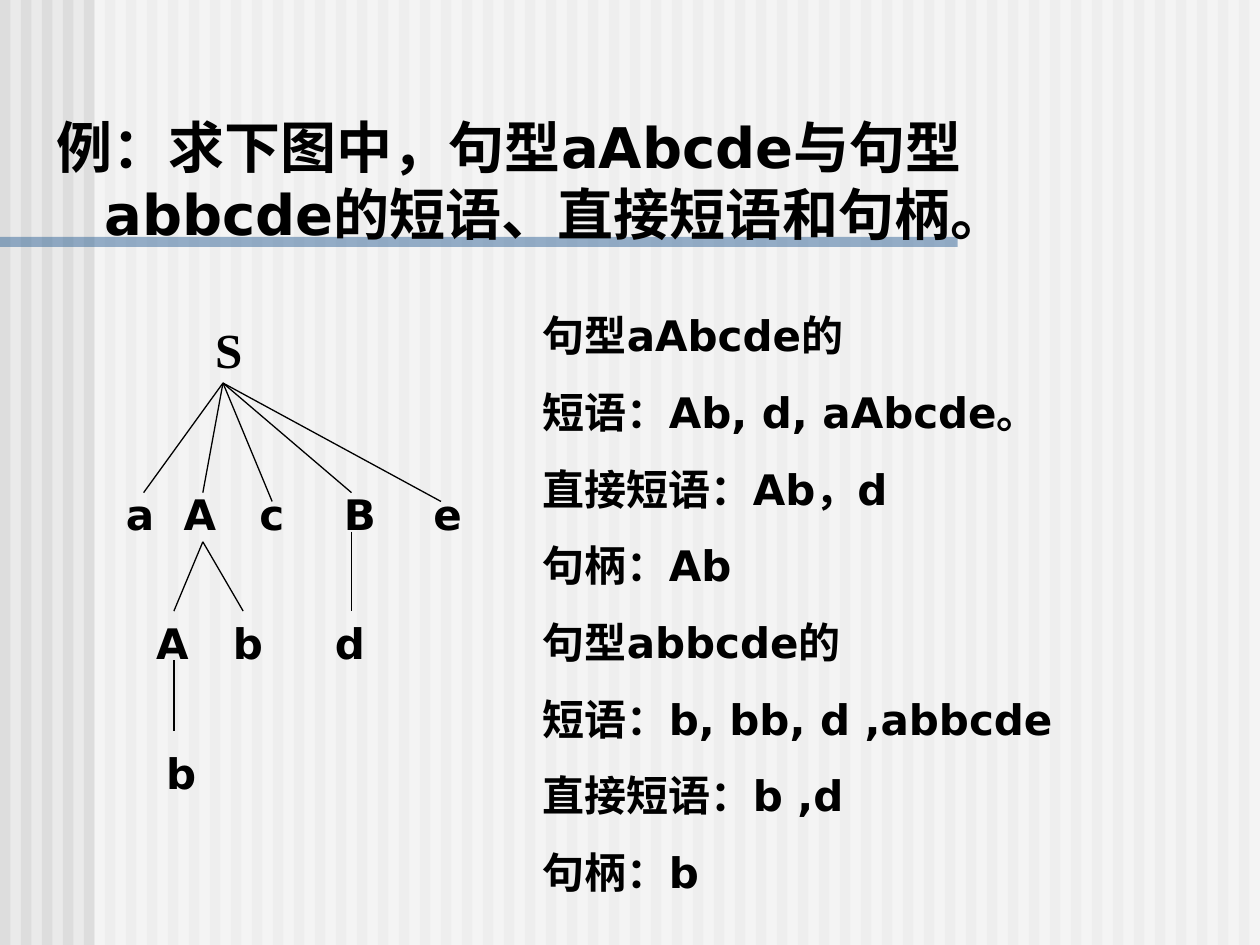
import pptx
import pptx.dml.color
import pptx.enum.shapes
import pptx.enum.text
import pptx.oxml.ns
import pptx.util
from lxml import etree

Inches, Pt = pptx.util.Inches, pptx.util.Pt
RGBColor = pptx.dml.color.RGBColor
qn = pptx.oxml.ns.qn

BLACK = RGBColor(0x00, 0x00, 0x00)
WHITE = RGBColor(0xFF, 0xFF, 0xFF)
PAPER = RGBColor(0xEA, 0xEA, 0xEA)
STRIPE = RGBColor(0xDD, 0xDD, 0xDD)
BLUE = RGBColor(0x33, 0x66, 0x99)
SANS, SERIF = "DejaVu Sans", "Times New Roman"

WIDTH, HEIGHT = 10, 7.5
STRIPES_PER_INCH = 6

TITLE = "例：求下图中，句型aAbcde与句型abbcde的短语、直接短语和句柄。"
ANSWERS = [
    "句型aAbcde的",
    "短语：Ab, d, aAbcde。",
    "直接短语：Ab，d",
    "句柄：Ab",
    "句型abbcde的",
    "短语：b, bb, d ,abbcde",
    "直接短语：b ,d",
    "句柄：b",
]

# Tree levels: text, (left, top, width, height), size, font, tab stops
TREE_LABELS = [
    ("S", (1.61, 2.49, 0.87, 0.57), 28, SERIF, ()),
    ("a\tA\tc\tB\te", (0.9, 3.83, 2.91, 0.5), 24, SANS, (0.46, 1.06, 1.73, 2.44)),
    ("A\tb", (1.14, 4.85, 1.1, 0.5), 24, SANS, (0.61,)),
    ("d", (2.56, 4.85, 0.87, 0.5), 24, SANS, ()),
    ("b", (1.22, 5.88, 0.71, 0.5), 24, SANS, ()),
]
# Parent point -> child points
BRANCHES = [
    ((1.77, 3.04), [(1.14, 3.91), (1.61, 3.91), (2.16, 3.98), (2.79, 3.91), (3.5, 3.98)]),
    ((1.61, 4.3), [(1.38, 4.85), (1.93, 4.85)]),
    ((2.79, 4.22), [(2.79, 4.85)]),
    ((1.38, 5.24), [(1.38, 5.8)]),
]


def add_bar(s, left, top, width, height, color, opacity=100):
    sp = s.shapes.add_shape(pptx.enum.shapes.MSO_SHAPE.RECTANGLE,
                            *map(Inches, (left, top, width, height)))
    sp.shadow.inherit = False
    sp.line.fill.background()
    sp.fill.solid()
    sp.fill.fore_color.rgb = color
    if opacity < 100:
        clr = sp.fill._xPr.find(".//" + qn("a:srgbClr"))
        etree.SubElement(clr, qn("a:alpha"), val=str(opacity * 1000))


def add_text(s, box, lines, size, font=SANS, tabs=(), hanging=0, gap=0):
    tf = s.shapes.add_textbox(*map(Inches, box)).text_frame
    tf.word_wrap = True
    tf.vertical_anchor = pptx.enum.text.MSO_ANCHOR.TOP
    for i, line in enumerate(lines):
        p = tf.paragraphs[0] if i == 0 else tf.add_paragraph()
        pPr = p._p.get_or_add_pPr()
        if hanging:
            pPr.set("marL", str(Inches(hanging)))
            pPr.set("indent", str(-Inches(hanging)))
        if tabs:
            tab_list = etree.SubElement(pPr, qn("a:tabLst"))
            for pos in tabs:
                etree.SubElement(tab_list, qn("a:tab"), pos=str(Inches(pos)), algn="l")
        if i and gap:
            p.space_before = Pt(gap)
        r = p.add_run()
        r.text = line
        r.font.name = font
        r.font.size = Pt(size)
        r.font.bold = True
        r.font.color.rgb = BLACK


def add_branch(s, start, end):
    line = s.shapes.add_connector(pptx.enum.shapes.MSO_CONNECTOR.STRAIGHT,
                                  *map(Inches, start + end))
    line.line.color.rgb = BLACK
    line.line.width = Pt(0.75)
    etree.SubElement(line._element.spPr, qn("a:effectLst"))


def main():
    prs = pptx.Presentation()
    prs.slide_width, prs.slide_height = Inches(WIDTH), Inches(HEIGHT)
    s = prs.slides.add_slide(prs.slide_layouts[6])
    s.background.fill.solid()
    s.background.fill.fore_color.rgb = PAPER

    for i in range(WIDTH * STRIPES_PER_INCH):
        add_bar(s, i / STRIPES_PER_INCH, 0, 0.5 / STRIPES_PER_INCH, HEIGHT, STRIPE)
    add_bar(s, 0.75, 0, WIDTH - 0.75, HEIGHT, WHITE, 50)
    add_bar(s, 0, 1.88, 7.6, 0.08, BLUE, 50)

    add_text(s, (0.35, 0.84, 8.87, 4.58), [TITLE], 32, hanging=0.38)
    for text, box, size, font, tabs in TREE_LABELS:
        add_text(s, box, [text], size, font, tabs)
    for parent, children in BRANCHES:
        for child in children:
            add_branch(s, parent, child)
    add_text(s, (4.21, 2.41, 4.88, 4.76), ANSWERS, 24, gap=15)

    prs.save("out.pptx")


if __name__ == "__main__":
    main()
